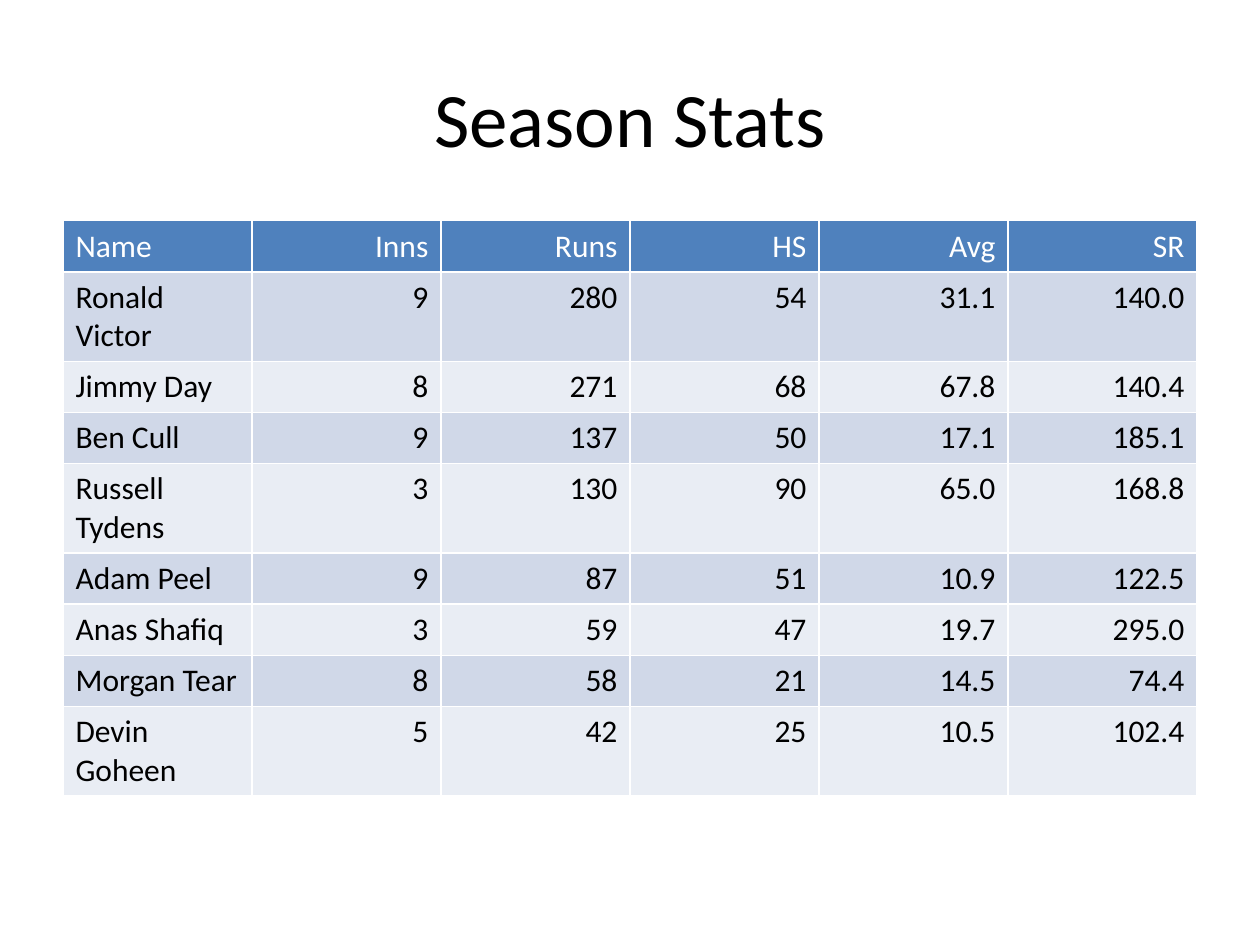
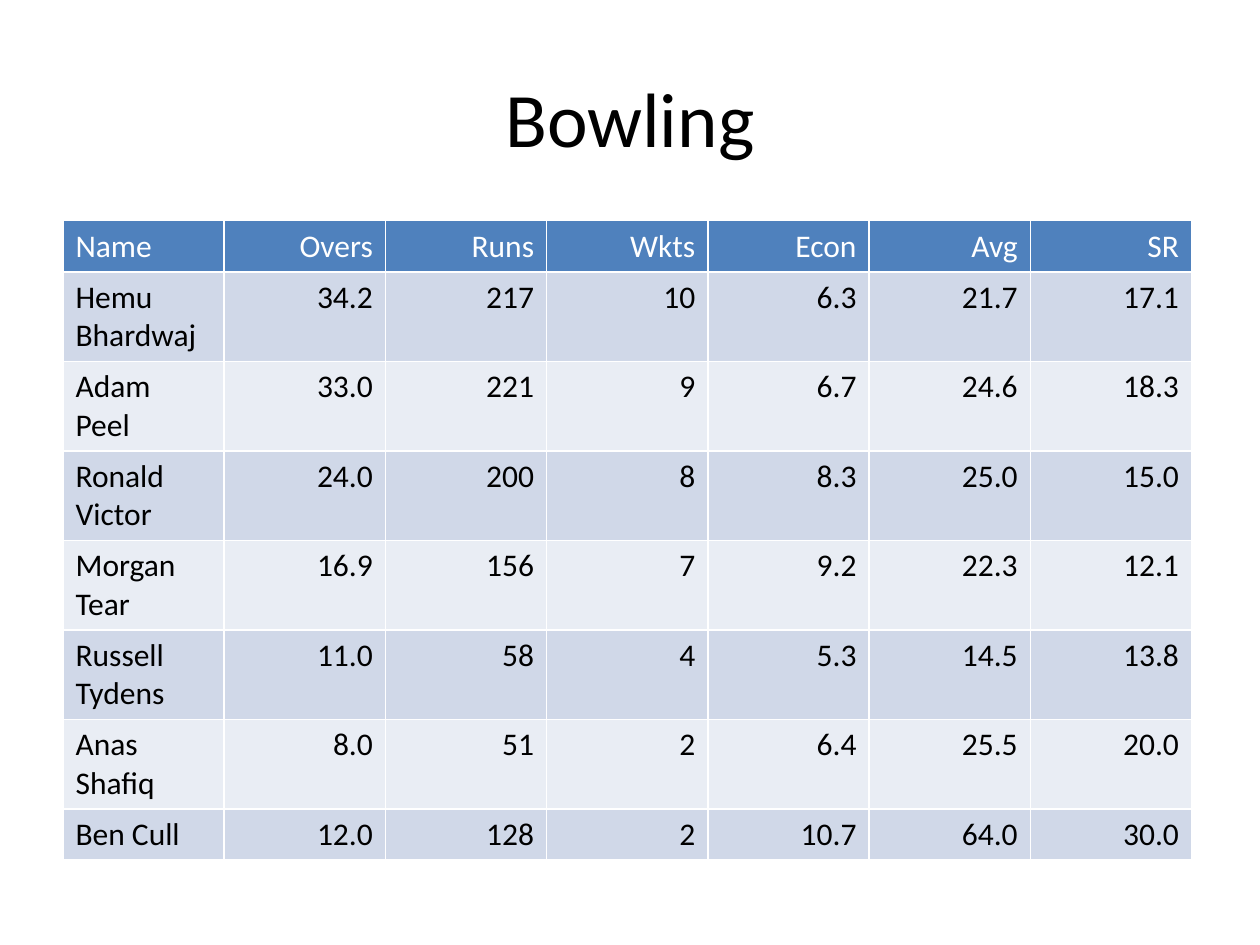
"""Build two cricket statistics slides, each with a title and a banded table."""
from pptx import Presentation
from pptx.dml.color import RGBColor
from pptx.enum.text import MSO_ANCHOR, PP_ALIGN
from pptx.util import Cm, Pt

LEFT, RIGHT, CENTER = PP_ALIGN.LEFT, PP_ALIGN.RIGHT, PP_ALIGN.CENTER
MIDDLE = MSO_ANCHOR.MIDDLE

FONT = "Calibri"
COLORS = {
    "text": "000000",
    "header_text": "FFFFFF",
    "header": "4F81BD",
    "odd": "D0D8E8",
    "even": "E9EDF4",
}
MARGIN, WIDTH = 1.27, 22.86
TITLE_TOP, TITLE_HEIGHT = 0.76, 3.18
TABLE_TOP, TABLE_HEIGHT = 4.45, 12.55

SLIDES = [
    {
        "title": "Season Stats",
        "col_width": 3.81,
        "rows": [
            ("Name", "Inns", "Runs", "HS", "Avg", "SR"),
            ("Ronald Victor", "9", "280", "54", "31.1", "140.0"),
            ("Jimmy Day", "8", "271", "68", "67.8", "140.4"),
            ("Ben Cull", "9", "137", "50", "17.1", "185.1"),
            ("Russell Tydens", "3", "130", "90", "65.0", "168.8"),
            ("Adam Peel", "9", "87", "51", "10.9", "122.5"),
            ("Anas Shafiq", "3", "59", "47", "19.7", "295.0"),
            ("Morgan Tear", "8", "58", "21", "14.5", "74.4"),
            ("Devin Goheen", "5", "42", "25", "10.5", "102.4"),
        ],
    },
    {
        "title": "Bowling",
        "col_width": 3.25,
        "rows": [
            ("Name", "Overs", "Runs", "Wkts", "Econ", "Avg", "SR"),
            ("Hemu Bhardwaj", "34.2", "217", "10", "6.3", "21.7", "17.1"),
            ("Adam Peel", "33.0", "221", "9", "6.7", "24.6", "18.3"),
            ("Ronald Victor", "24.0", "200", "8", "8.3", "25.0", "15.0"),
            ("Morgan Tear", "16.9", "156", "7", "9.2", "22.3", "12.1"),
            ("Russell Tydens", "11.0", "58", "4", "5.3", "14.5", "13.8"),
            ("Anas Shafiq", "8.0", "51", "2", "6.4", "25.5", "20.0"),
            ("Ben Cull", "12.0", "128", "2", "10.7", "64.0", "30.0"),
        ],
    },
]


def write(tf, text, size, color, align):
    tf.text = text
    p = tf.paragraphs[0]
    p.alignment = align
    font = p.runs[0].font
    font.name, font.size, font.bold = FONT, Pt(size), False
    font.color.rgb = RGBColor.from_string(COLORS[color])


def add_title(s, text):
    sp = s.shapes.title
    sp.left, sp.top = Cm(MARGIN), Cm(TITLE_TOP)
    sp.width, sp.height = Cm(WIDTH), Cm(TITLE_HEIGHT)
    sp.text_frame.vertical_anchor = MIDDLE
    write(sp.text_frame, text, 44, "text", CENTER)


def add_stats(s, rows, col_width):
    frame = s.shapes.add_table(len(rows), len(rows[0]), Cm(MARGIN), Cm(TABLE_TOP),
                               Cm(WIDTH), Cm(TABLE_HEIGHT))
    table = frame.table
    for col in table.columns:
        col.width = Cm(col_width)
    for i, values in enumerate(rows):
        table.rows[i].height = Cm(0)
        band = "header" if i == 0 else "odd" if i % 2 else "even"
        color = "header_text" if i == 0 else "text"
        for j, value in enumerate(values):
            cell = table.cell(i, j)
            cell.fill.solid()
            cell.fill.fore_color.rgb = RGBColor.from_string(COLORS[band])
            write(cell.text_frame, value, 18, color, RIGHT if j else LEFT)
    frame.width, frame.height = Cm(WIDTH), Cm(TABLE_HEIGHT)


prs = Presentation()
prs.slide_width, prs.slide_height = Cm(25.4), Cm(19.05)
for content in SLIDES:
    s = prs.slides.add_slide(prs.slide_layouts[5])
    add_title(s, content["title"])
    add_stats(s, content["rows"], content["col_width"])
prs.save("out.pptx")
